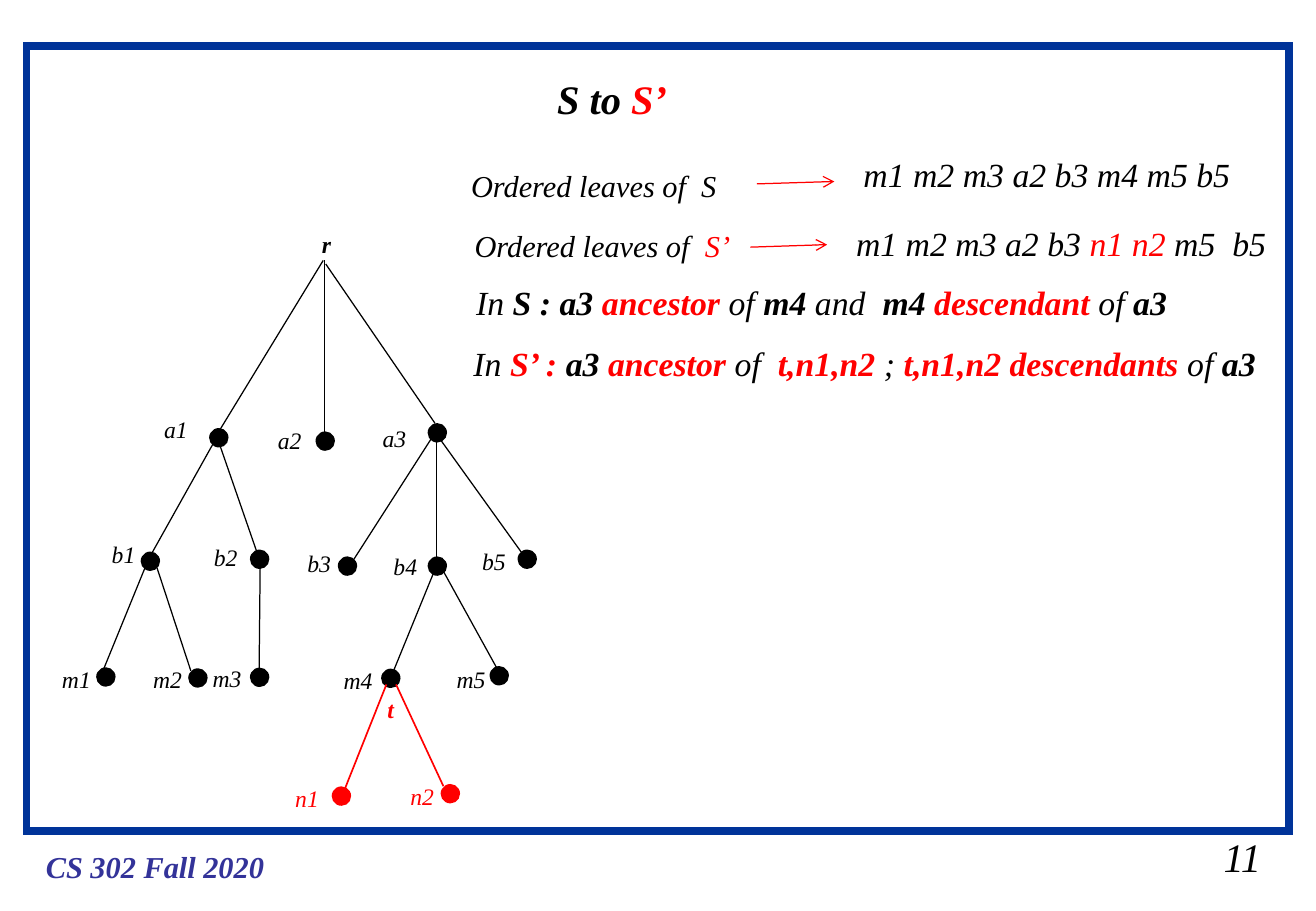
from lxml import etree
from pptx import Presentation
from pptx.dml.color import RGBColor
from pptx.enum import shapes, text
from pptx.oxml import ns
from pptx.util import Pt

BLACK, RED, NAVY, INDIGO = "000000", "FF0000", "003399", "333399"
FONT = "Times New Roman"
DOT = 11.5

# name: (dot centre, label corner, edge start, edge end), in points from the tree's corner
NODES = {
    "a1": ((101.6, 127.2), (62, 109.9), (163.5, 22.1), (100.2, 125.8)),
    "a2": ((164.7, 129.2), (129.5, 116.4), (164.2, 22.1), (164.2, 130.8)),
    "a3": ((231.2, 124.3), (191.6, 115.7), (165, 24.2), (229.8, 118.6)),
    "b1": ((61, 200.4), (31, 184.1), (99.4, 128.6), (59.1, 200.6)),
    "b2": ((125.8, 199.2), (91.5, 186.2), (100.2, 125.8), (125.4, 198.5)),
    "b3": ((177.9, 203.3), (147, 189.8), (229.8, 124.3), (179.4, 202.8)),
    "b4": ((231.2, 203.3), (198.1, 191.3), (230.5, 124.3), (230.5, 206.4)),
    "b5": ((284.5, 199.2), (250.6, 188.4), (231.2, 125.8), (283, 197.8)),
    "m1": ((34.6, 269), (1.5, 258.2), (58.4, 202.8), (32.5, 266.2)),
    "m2": ((89.2, 269.6), (55.5, 258.2), (64.9, 204.2), (85, 265.4)),
    "m3": ((125.8, 269.2), (90.8, 257.5), (126.1, 203.5), (125.4, 274.8)),
    "m4": ((203.6, 269.8), (168.5, 259), (230.5, 203.5), (204.6, 266.9)),
    "m5": ((267.9, 268.3), (235.5, 258.2), (234.8, 206.4), (268.6, 267.6)),
    "n1": ((174.3, 339.6), (139.8, 328.8), (201, 273.4), (175.8, 336.7)),
    "n2": ((238.9, 338.2), (208.1, 327.4), (206.7, 273.4), (234.8, 333.8)),
}

# (leaves caption, its corner, arrow start, arrow end, leaf list, its corner)
LEAF_ROWS = [
    ([("Ordered leaves of  S", "")], (0, 8), (176.6, 21.7), (222.6, 20.3),
     [("m1 m2 m3 a2 b3 m4 m5 b5", "")], (232.7, 0.1)),
    ([("Ordered leaves of  ", ""), ("S’", "r")], (2.1, 44), (172.7, 59.2), (218.3, 57.7),
     [("m1 m2 m3 a2 b3 ", ""), ("n1 n2 ", "r"), ("m5  b5", "")], (228.3, 41.2)),
]

STATEMENTS = [
    ([("In ", ""), ("S : a3 ", "b"), ("ancestor", "br"), (" of ", ""), ("m4", "b"),
      (" and  ", ""), ("m4 ", "b"), ("descendant", "br"), (" of ", ""), ("a3", "b")],
     (3, 76.2)),
    ([("In ", ""), ("S’ : ", "br"), ("a3 ", "b"), ("ancestor", "br"), (" of  ", ""),
      ("t,n1,n2 ", "br"), ("; ", ""), ("t,n1,n2 descendants", "br"), (" of ", ""), ("a3", "b")],
     (1.4, 112.4)),
]


def rgb(value):
    return RGBColor.from_string(value)


def add_text(slide, box, runs, size, color=BLACK, wrap=False, bold=False):
    """Add one italic paragraph; a run's style letters are b for bold and r for red."""
    shape = slide.shapes.add_textbox(*map(Pt, box))
    shape.text_frame.word_wrap = wrap
    shape.text_frame.auto_size = text.MSO_AUTO_SIZE.SHAPE_TO_FIT_TEXT
    paragraph = shape.text_frame.paragraphs[0]
    font = paragraph.font
    font.name, font.size, font.italic, font.bold = FONT, Pt(size), True, bold
    font.color.rgb = rgb(color)
    for content, style in runs:
        run = paragraph.add_run()
        run.text = content
        if "b" in style:
            run.font.bold = True
        if "r" in style:
            run.font.color.rgb = rgb(RED)
    return paragraph


def add_line(slide, start, end, color, width=0.75, arrow=False):
    line = slide.shapes.add_connector(
        shapes.MSO_CONNECTOR.STRAIGHT, *map(Pt, (*start, *end)))
    line.line.color.rgb = rgb(color)
    line.line.width = Pt(width)
    properties = line._element.spPr
    if arrow:
        etree.SubElement(properties.find(ns.qn("a:ln")), ns.qn("a:tailEnd"), type="arrow")
    etree.SubElement(properties, ns.qn("a:effectLst"))


def add_dot(slide, center_x, center_y, color):
    dot = slide.shapes.add_shape(
        shapes.MSO_SHAPE.OVAL, Pt(center_x - DOT / 2), Pt(center_y - DOT / 2), Pt(DOT), Pt(DOT))
    dot.shadow.inherit = False
    dot.fill.solid()
    dot.fill.fore_color.rgb = rgb(color)
    dot.line.fill.background()


def add_frame(slide, left, top, width, height):
    """Add the border, with the title inside and the footer below it."""
    frame = slide.shapes.add_shape(
        shapes.MSO_SHAPE.RECTANGLE, *map(Pt, (left, top, width, height)))
    frame.shadow.inherit = False
    frame.fill.background()
    frame.line.color.rgb = rgb(NAVY)
    frame.line.width = Pt(4.5)
    outline = frame._element.spPr.find(ns.qn("a:ln"))
    etree.SubElement(outline, ns.qn("a:miter"), lim="800000")
    title = add_text(slide, (left + 307.5, top - 1.5, 80, 50.5),
                     [("S to ", ""), ("S’", "r")], 24, bold=True)
    title.line_spacing = 1.5
    bottom = top + height
    add_text(slide, (left + 4.3, bottom + 6.5, 144, 29),
             [("CS 302 Fall 2020", "")], 18, INDIGO, bold=True)
    add_text(slide, (left + width - 46, bottom - 2.6, 38.2, 36), [("11", "")], 24)


def add_tree(slide, left, top):
    def place(point):
        return left + point[0], top + point[1]

    for name, (center, label, start, end) in NODES.items():
        color, width = (RED, 1) if name.startswith("n") else (BLACK, 0.75)
        add_line(slide, place(start), place(end), color, width)
        add_dot(slide, *place(center), color)
        label_width = 31.7 if name.startswith("m") else 28.2
        add_text(slide, (*place(label), label_width, 24.5), [(name, "")], 14, color)
    for name, label, color in (("r", (155.6, 0.5), BLACK), ("t", (194.5, 276.2), RED)):
        add_text(slide, (*place(label), 19, 24.5), [(name, "")], 14, color, bold=True)


def add_explanation(slide, left, top):
    def place(point):
        return left + point[0], top + point[1]

    for caption, caption_at, start, end, leaves, leaves_at in LEAF_ROWS:
        add_text(slide, (*place(caption_at), 172, 29), caption, 18, wrap=True)
        add_line(slide, place(start), place(end), RED, arrow=True)
        add_text(slide, (*place(leaves_at), 267, 31.5), leaves, 20, wrap=True)
    for runs, corner in STATEMENTS:
        add_text(slide, (*place(corner), 500, 31.5), runs, 20, wrap=True)


def main():
    presentation = Presentation()
    presentation.slide_width, presentation.slide_height = Pt(780.48), Pt(540)
    slide = presentation.slides.add_slide(presentation.slide_layouts[6])
    add_frame(slide, 15.8, 27.4, 748.8, 465.1)
    add_tree(slide, 28.2, 132.3)
    add_explanation(slide, 272.3, 87.3)
    presentation.save("out.pptx")


if __name__ == "__main__":
    main()
